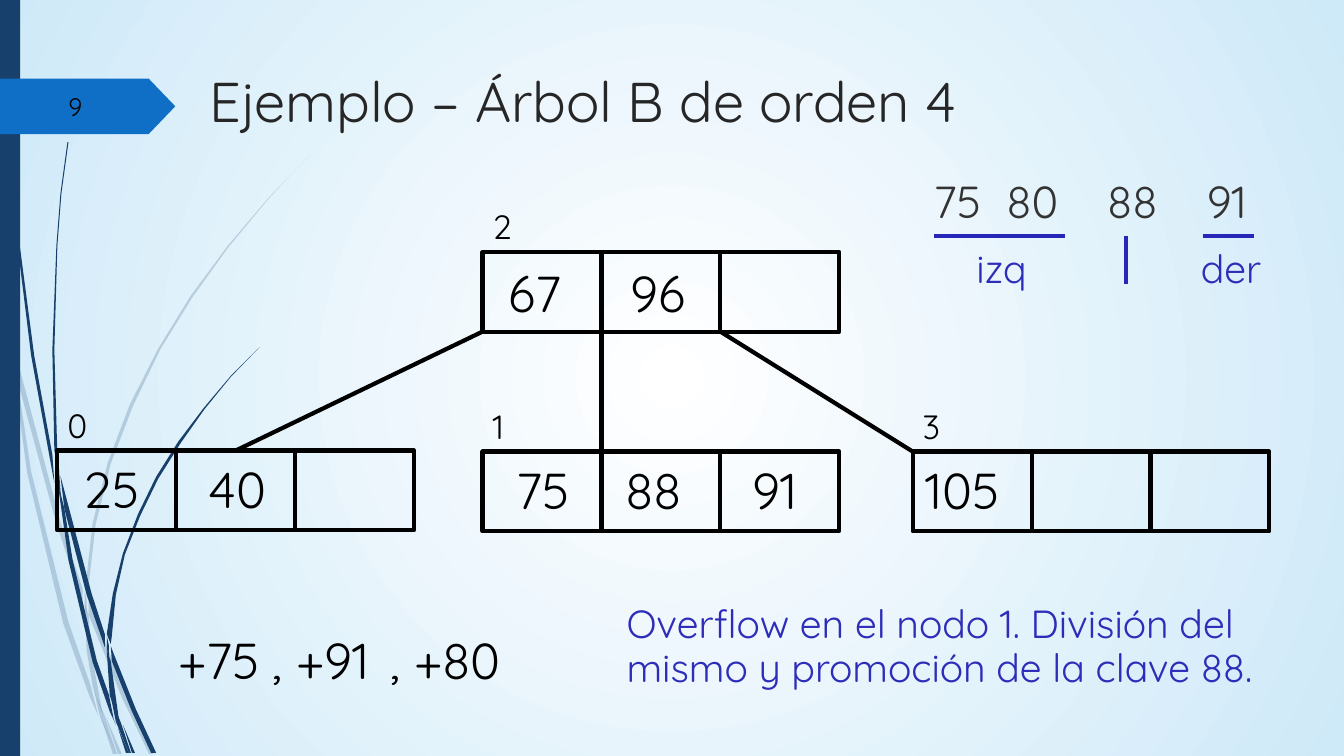
import lxml.etree
import pptx
import pptx.dml.color
import pptx.enum.shapes
import pptx.enum.text
import pptx.oxml.ns
import pptx.util

# The slide is a grid of square units; every box is (left, top, width, height) in units.
UNIT = pptx.util.Inches(1)
COLUMNS, ROWS = 13.34, 7.5
FONT = "Quicksand"
BLACK, NAVY, BLUE, VIOLET, LINE_VIOLET = "000000", "17406D", "0F6FC6", "2D2DB9", "2727B7"
NODE_WIDTH, NODE_HEIGHT, NODE_CELLS = 3.54, 0.79, 3
CELL = NODE_WIDTH / NODE_CELLS

# Outlines of the grass blades, pale ones behind
PALE_BLADES = [
    [(0.56, 5.2), (0.82, 5.97), (0.82, 5.84), (0.6, 5.18), (0.14, 3.45), (0.17, 3.76)],
    [(0.92, 6.07), (0.88, 5.96), (0.88, 6.1), (1.21, 6.92), (1.48, 7.48), (1.52, 7.48),
     (1.26, 6.9)],
    [(1.17, 7.48), (1.21, 7.48), (1.05, 7.11)],
    [(0.9, 6.8), (0.68, 6.17), (0.31, 4.68), (0.17, 3.76), (0.11, 3.5), (0.27, 4.69),
     (0.63, 6.19), (0.89, 6.91), (0.98, 7.11), (0.96, 7.04)],
    [(0.84, 5.99), (0.86, 6.45), (0.92, 6.81), (0.95, 6.9), (1.02, 7.09), (0.9, 6.44),
     (0.88, 6.1)],
    [(0.88, 5.81), (0.95, 5.2), (1.1, 4.6), (1.32, 4.03), (1.59, 3.47), (1.91, 2.95),
     (2.27, 2.45), (2.66, 1.98), (2.87, 1.75), (3.09, 1.53), (2.87, 1.75), (2.66, 1.97),
     (2.26, 2.44), (1.89, 2.94), (1.57, 3.46), (1.29, 4.01), (1.07, 4.59), (0.92, 5.19),
     (0.85, 5.81), (0.88, 5.93)],
    [(1.01, 7.14), (1.12, 7.48), (1.16, 7.48)],
    [(0.85, 6.06), (0.86, 6.08), (0.86, 5.95), (0.84, 5.86), (0.84, 5.98)],
    [(0.96, 6.92), (0.93, 6.83), (0.98, 7.06), (1, 7.13), (1.16, 7.48), (1.04, 7.1)],
]
DARK_BLADES = [
    [(0.06, 1.09), (0.16, 2.32), (0.31, 3.53), (0.53, 4.74), (0.54, 4.79), (0.52, 4.51),
     (0.34, 3.53), (0.18, 2.31), (0.07, 1.09), (0.04, 0.48), (0.03, 0), (0.04, 0.48)],
    [(0.86, 5.9), (1.04, 6.42), (1.04, 6.29), (0.91, 5.89), (0.6, 4.72), (0.64, 5.05)],
    [(1.13, 6.49), (1.1, 6.41), (1.11, 6.56), (1.31, 7.06), (1.5, 7.47), (1.55, 7.47),
     (1.35, 7.04)],
    [(1.08, 6.89), (0.96, 6.55), (0.72, 5.55), (0.64, 5.05), (0.57, 4.77), (0.68, 5.56),
     (0.92, 6.57), (1.09, 7.06), (1.15, 7.19), (1.13, 7.14)],
    [(0.59, 4.69), (0.57, 4.51), (0.54, 3.47), (0.57, 2.44), (0.61, 1.92), (0.68, 1.41),
     (0.67, 1.41), (0.6, 1.92), (0.56, 2.44), (0.52, 3.47), (0.54, 4.47)],
    [(1.31, 7.47), (1.34, 7.47), (1.22, 7.19)],
    [(0.57, 4.76), (0.61, 5.02), (0.59, 4.71), (0.55, 4.49), (0.55, 4.53)],
    [(1.11, 6.31), (1.15, 5.9), (1.24, 5.5), (1.39, 5.12), (1.57, 4.75), (1.79, 4.4),
     (2.03, 4.06), (2.29, 3.74), (2.58, 3.44), (2.29, 3.73), (2.02, 4.05), (1.77, 4.38),
     (1.55, 4.73), (1.37, 5.1), (1.22, 5.49), (1.12, 5.89), (1.06, 6.29), (1.1, 6.39)],
    [(1.17, 7.22), (1.25, 7.47), (1.28, 7.47)],
    [(1.06, 6.45), (1.09, 6.9), (1.14, 7.04), (1.19, 7.16), (1.18, 7.13), (1.1, 6.56)],
    [(1.06, 6.43), (1.08, 6.53), (1.08, 6.4), (1.06, 6.31)],
    [(1.15, 7.05), (1.1, 6.91), (1.15, 7.16), (1.28, 7.47), (1.3, 7.47), (1.2, 7.17)],
]


def color(value):
    return pptx.dml.color.RGBColor.from_string(value)


def units(*values):
    return [round(value * UNIT) for value in values]


def paint(shape, fill):
    shape.shadow.inherit = False
    shape.fill.solid()
    shape.fill.fore_color.rgb = color(fill)
    shape.line.fill.background()


def add_text(slide, box, text, size, ink=BLACK, spacing=0.93, centered=False):
    frame = slide.shapes.add_textbox(*units(*box)).text_frame
    frame.word_wrap = True
    paragraph = frame.paragraphs[0]
    paragraph.line_spacing = spacing
    if centered:
        paragraph.alignment = pptx.enum.text.PP_ALIGN.CENTER
    run = paragraph.add_run()
    run.text = text
    run.font.name, run.font.size = FONT, pptx.util.Pt(size)
    run.font.color.rgb = color(ink)


def add_line(slide, start, end, ink=BLACK):
    connector = slide.shapes.add_connector(
        pptx.enum.shapes.MSO_CONNECTOR.STRAIGHT, *units(*start, *end))
    connector.line.color.rgb = color(ink)
    connector.line.width = pptx.util.Pt(3)
    lxml.etree.SubElement(connector.element.spPr, pptx.oxml.ns.qn("a:effectLst"))
    return connector


def add_background(slide):
    fill = slide.background.fill
    fill.gradient()
    for stop, value in zip(fill.gradient_stops, ("FFFFFF", "CEE9F8")):
        stop.color.rgb = color(value)
    gradient = slide.element.find(".//" + pptx.oxml.ns.qn("a:gradFill"))
    gradient.remove(gradient.find(pptx.oxml.ns.qn("a:lin")))
    circle = lxml.etree.SubElement(gradient, pptx.oxml.ns.qn("a:path"), path="circle")
    lxml.etree.SubElement(circle, pptx.oxml.ns.qn("a:fillToRect"),
                          dict.fromkeys("ltrb", "50000"))


def add_blades(slide, blades, opacity=100):
    for outline in blades:
        start, *rest = [units(*point) for point in outline]
        builder = slide.shapes.build_freeform(*start)
        builder.add_line_segments(rest, close=True)
        blade = builder.convert_to_shape()
        paint(blade, NAVY)
        if opacity < 100:
            ink = blade.element.spPr.find(".//" + pptx.oxml.ns.qn("a:srgbClr"))
            lxml.etree.SubElement(ink, pptx.oxml.ns.qn("a:alpha"), val=str(opacity * 1000))


def add_header(slide, box):
    left, top, width, height = box
    shapes = pptx.enum.shapes.MSO_SHAPE
    paint(slide.shapes.add_shape(shapes.RECTANGLE, *units(0, 0, 0.2, ROWS)), NAVY)
    tag = slide.shapes.add_shape(shapes.PENTAGON, *units(left, top, 1.74, height))
    tag.adjustments[0] = 0.48
    paint(tag, BLUE)
    add_text(slide, (left + 0.58, top + 0.08, 0.85, 0.4), "9", 18, spacing=1.0)
    add_text(slide, (left + 1.98, top - 0.11, width - 1.98, 0.99),
             "Ejemplo – Árbol B de orden 4", 40, "262626")


def add_node(slide, left, top, number, keys, key_drop=0.08):
    """Draw one tree node; keys are (text, offset from the node's left side)."""
    node = slide.shapes.add_shape(pptx.enum.shapes.MSO_SHAPE.RECTANGLE,
                                  *units(left, top, NODE_WIDTH, NODE_HEIGHT))
    node.shadow.inherit = False
    node.fill.background()
    node.line.color.rgb = color(BLACK)
    node.line.width = pptx.util.Pt(3)
    for index in range(1, NODE_CELLS):
        x = left + index * CELL
        add_line(slide, (x, top), (x, top + NODE_HEIGHT))
    add_text(slide, (left, top - 0.47, 0.39, 0.45), number, 24)
    for text, offset in keys:
        add_text(slide, (left + offset, top + key_drop, CELL, 0.68), text, 36)
    return node


def add_tree(slide, box):
    left, top, width, height = box
    root_left, right = left + 4.22, left + width - NODE_WIDTH
    root_bottom, leaf_top = top + NODE_HEIGHT, top + height - NODE_HEIGHT
    add_node(slide, root_left, top, "2", [("67", 0.16), ("96", 1.37)], 0.1)
    first = add_node(slide, left, leaf_top - 0.01, "0", [("25", 0.16), ("40", 1.4)])
    add_node(slide, root_left, leaf_top, "1", [("75", 0.24), ("88", 1.32), ("91", 2.58)])
    add_node(slide, right, leaf_top, "3", [("105", 0.03)])
    # Branches
    branch = add_line(slide, (root_left, root_bottom), (left + NODE_WIDTH / 2, leaf_top))
    branch.end_connect(first, 0)
    add_line(slide, (root_left + CELL, root_bottom), (root_left + CELL, leaf_top))
    add_line(slide, (root_left + 2 * CELL, root_bottom), (right, leaf_top))


def add_split(slide, box):
    left, top, width, height = box
    rule = top + 0.62
    for key, offset in (("75", 0), ("80", 0.72), ("88", 1.72), ("91", 2.71)):
        add_text(slide, (left + offset, top, 0.9, 0.55), key, 32, "333333")
    for label, start, end, middle in (("izq", 0.1, 1.4, 0.77), ("der", 2.77, 3.28, 3.05)):
        add_line(slide, (left + start, rule), (left + end, rule), LINE_VIOLET)
        add_text(slide, (left + middle - 0.62, top + 0.7, 1.24, 0.47), label, 28, VIOLET,
                 centered=True)
    add_line(slide, (left + 2.01, rule), (left + 2.01, top + height), LINE_VIOLET)


def add_footer(slide, box):
    left, top, width, height = box
    for text, offset in (("+75", 0), (", +91", 0.94), (", +80", 2.11)):
        add_text(slide, (left + offset, top + 0.31, 1.56, 0.68), text, 36)
    add_text(slide, (left + 4.45, top, width - 4.45, height),
             "Overflow en el nodo 1. División del mismo y promoción de la clave 88.",
             28, VIOLET)


def main():
    presentation = pptx.Presentation()
    presentation.slide_width, presentation.slide_height = units(COLUMNS, ROWS)
    slide = presentation.slides.add_slide(presentation.slide_layouts[6])
    add_background(slide)
    add_blades(slide, PALE_BLADES, opacity=20)
    add_blades(slide, DARK_BLADES)
    add_header(slide, (0, 0.78, 10.65, 0.55))
    add_tree(slide, (0.57, 2.5, 12.03, 2.77))
    add_split(slide, (9.17, 1.72, 3.67, 1.1))
    add_footer(slide, (1.67, 5.94, 11.66, 1.02))
    presentation.save("out.pptx")


if __name__ == "__main__":
    main()
